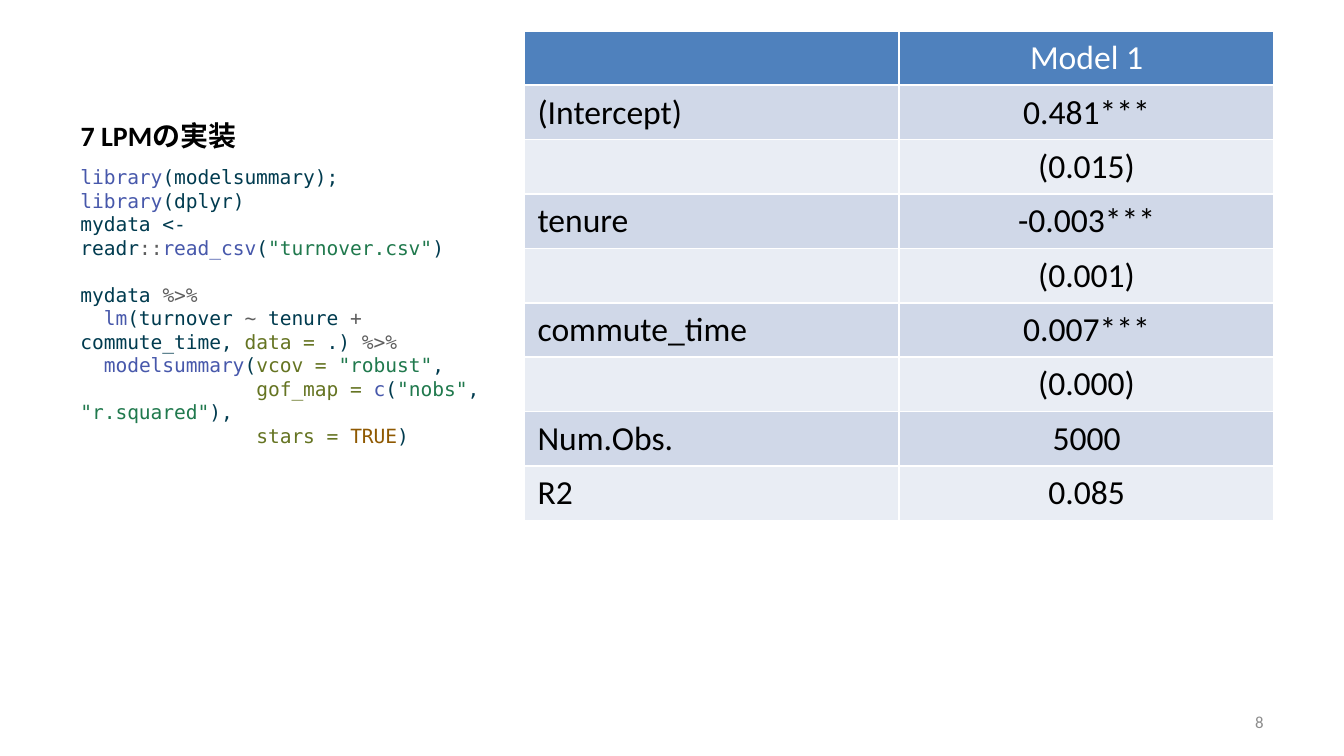
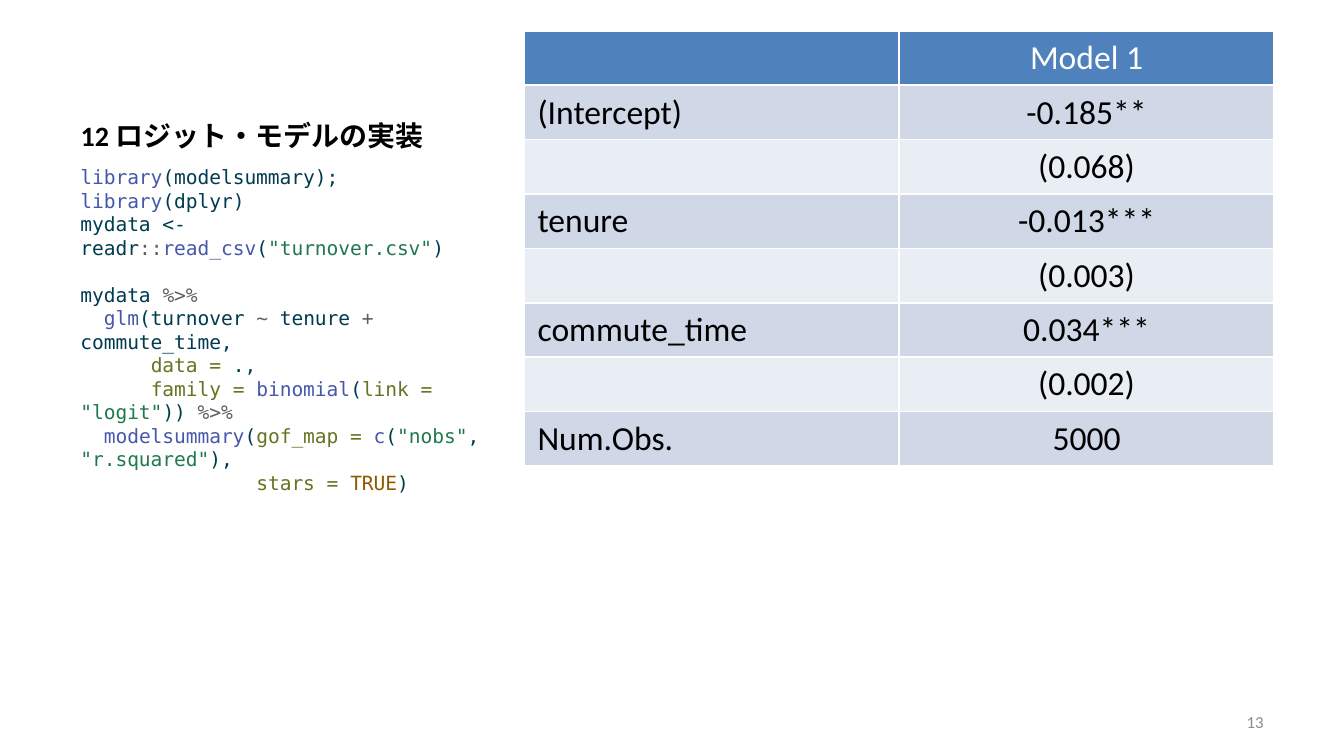
import lxml.etree
import pptx
import pptx.dml.color
import pptx.enum.text
import pptx.oxml.ns
import pptx.util

Inches = pptx.util.Inches
Pt = pptx.util.Pt
ALIGN = pptx.enum.text.PP_ALIGN
ANCHOR = pptx.enum.text.MSO_ANCHOR
qn = pptx.oxml.ns.qn

BLACK, WHITE, GREY = "000000", "FFFFFF", "8C8C8C"
HEADER, BAND_DARK, BAND_LIGHT = "4F81BD", "D0D8E8", "E9EDF4"

# Syntax colours of the R code
CALL, PLAIN, OPERATOR = "4758AB", "003B4F", "5E5E5E"
STRING, ARGUMENT, CONSTANT = "20794D", "657422", "8F5902"


def color(value):
    return pptx.dml.color.RGBColor.from_string(value)


class Deck:
    text_font = "Calibri"
    code_font = "DejaVu Sans Mono"
    code_size = 10.5
    left, top, column_width = 0.5, 0.23, 3.29
    table_left, table_column, row_height = 3.9, 2.79, 0.81 / 2

    def __init__(self):
        self.presentation = pptx.Presentation()
        self.presentation.slide_width = Inches(10)
        self.presentation.slide_height = Inches(10 * 9 / 16)
        self.slide = None

    def add_run(self, paragraph, text, size, fill, font=None, bold=False):
        run = paragraph.add_run()
        run.text = text
        run.font.name = font or self.text_font
        run.font.size = Pt(size)
        run.font.bold = bold
        run.font.color.rgb = color(fill)

    def add_slide(self, title, number):
        layout = self.presentation.slide_layouts.get_by_name("Title Only")
        self.slide = self.presentation.slides.add_slide(layout)
        shape = self.slide.shapes.title
        shape.left, shape.top = Inches(self.left), Inches(self.top)
        shape.width, shape.height = Inches(self.column_width), Inches(0.95)
        frame = shape.text_frame
        frame.word_wrap = True
        frame.auto_size = pptx.enum.text.MSO_AUTO_SIZE.NONE
        frame.vertical_anchor = ANCHOR.BOTTOM
        frame.paragraphs[0].alignment = ALIGN.LEFT
        self.add_run(frame.paragraphs[0], title, 15, BLACK, bold=True)
        self.add_number(number)

    def add_box(self, left, top, width, height, anchor):
        shape = self.slide.shapes.add_textbox(
            Inches(left), Inches(top), Inches(width), Inches(height))
        shape.text_frame.word_wrap = True
        shape.text_frame.vertical_anchor = anchor
        return shape.text_frame.paragraphs[0]

    def add_number(self, number):
        paragraph = self.add_box(7.17, 5.22, 2.33, 0.3, ANCHOR.MIDDLE)
        paragraph.alignment = ALIGN.RIGHT
        self.add_run(paragraph, str(number), 9, GREY)

    def add_code(self, lines):
        paragraph = self.add_box(self.left, 1.18, self.column_width, 3.85, ANCHOR.TOP)
        paragraph.space_before = Pt(2.1)
        for index, line in enumerate(lines):
            if index:
                self.add_code_break(paragraph)
            for fill, text in line:
                self.add_run(paragraph, text, self.code_size, fill, self.code_font)

    def add_code_break(self, paragraph):
        # The break carries the code font so that an empty line keeps its height
        paragraph.add_line_break()
        line_break = paragraph._p.findall(qn("a:br"))[-1]
        properties = lxml.etree.SubElement(
            line_break, qn("a:rPr"), sz=str(int(self.code_size * 100)))
        lxml.etree.SubElement(properties, qn("a:latin"), typeface=self.code_font)

    def add_table(self, rows):
        # The default table style supplies the white borders
        table = self.slide.shapes.add_table(
            len(rows), 2, Inches(self.table_left), Inches(self.top),
            Inches(2 * self.table_column), Inches(self.row_height * len(rows))).table
        for row_index, row in enumerate(rows):
            header = row_index == 0
            band = BAND_DARK if row_index % 2 else BAND_LIGHT
            for column_index, text in enumerate(row):
                cell = table.cell(row_index, column_index)
                cell.fill.solid()
                cell.fill.fore_color.rgb = color(HEADER if header else band)
                paragraph = cell.text_frame.paragraphs[0]
                paragraph.alignment = ALIGN.CENTER if column_index else ALIGN.LEFT
                if text:
                    self.add_run(paragraph, text, 18, WHITE if header else BLACK)


def coefficient_rows(estimates, statistics):
    rows = [("", "Model 1")]
    for name, estimate, error in estimates:
        rows += [(name, estimate), ("", error)]
    return rows + statistics


def model_start(function):
    """Lines that load the data, and the start of the model call."""
    return [
        [(CALL, "library"), (PLAIN, "(modelsummary); "), (CALL, "library"), (PLAIN, "(dplyr)")],
        [(PLAIN, "mydata <- readr"), (OPERATOR, "::"), (CALL, "read_csv"), (PLAIN, "("),
         (STRING, '"turnover.csv"'), (PLAIN, ")")],
        [],
        [(PLAIN, "mydata "), (OPERATOR, "%>% ")],
        [(OPERATOR, "  "), (CALL, function), (PLAIN, "(turnover "), (OPERATOR, "~"),
         (PLAIN, " tenure "), (OPERATOR, "+"), (PLAIN, " commute_time, ")],
    ]


SUMMARY = [(OPERATOR, "  "), (CALL, "modelsummary"), (PLAIN, "(")]
GOF_MAP = [(ARGUMENT, "gof_map = "), (CALL, "c"), (PLAIN, "("), (STRING, '"nobs"'),
           (PLAIN, ", "), (STRING, '"r.squared"'), (PLAIN, "), ")]
ARGUMENT_INDENT = (PLAIN, " " * 15)
STARS = [ARGUMENT_INDENT, (ARGUMENT, "stars = "), (CONSTANT, "TRUE"), (PLAIN, ")")]


def main():
    deck = Deck()

    # Linear probability model
    deck.add_slide("7 LPMの実装", 8)
    code = model_start("lm")
    code[-1] += [(ARGUMENT, "data ="), (PLAIN, " .) "), (OPERATOR, "%>% ")]
    code += [
        SUMMARY + [(ARGUMENT, "vcov = "), (STRING, '"robust"'), (PLAIN, ",")],
        [ARGUMENT_INDENT] + GOF_MAP,
        STARS,
    ]
    deck.add_code(code)
    deck.add_table(coefficient_rows(
        [("(Intercept)", "0.481***", "(0.015)"),
         ("tenure", "-0.003***", "(0.001)"),
         ("commute_time", "0.007***", "(0.000)")],
        [("Num.Obs.", "5000"), ("R2", "0.085")]))

    # Logit model
    deck.add_slide("12 ロジット・モデルの実装", 13)
    model_indent = (PLAIN, " " * 6)
    deck.add_code(model_start("glm") + [
        [model_indent, (ARGUMENT, "data ="), (PLAIN, " .,")],
        [model_indent, (ARGUMENT, "family = "), (CALL, "binomial"), (PLAIN, "("),
         (ARGUMENT, "link = "), (STRING, '"logit"'), (PLAIN, ")) "), (OPERATOR, "%>% ")],
        SUMMARY + GOF_MAP,
        STARS,
    ])
    deck.add_table(coefficient_rows(
        [("(Intercept)", "-0.185**", "(0.068)"),
         ("tenure", "-0.013***", "(0.003)"),
         ("commute_time", "0.034***", "(0.002)")],
        [("Num.Obs.", "5000")]))

    deck.presentation.save("out.pptx")


if __name__ == "__main__":
    main()
